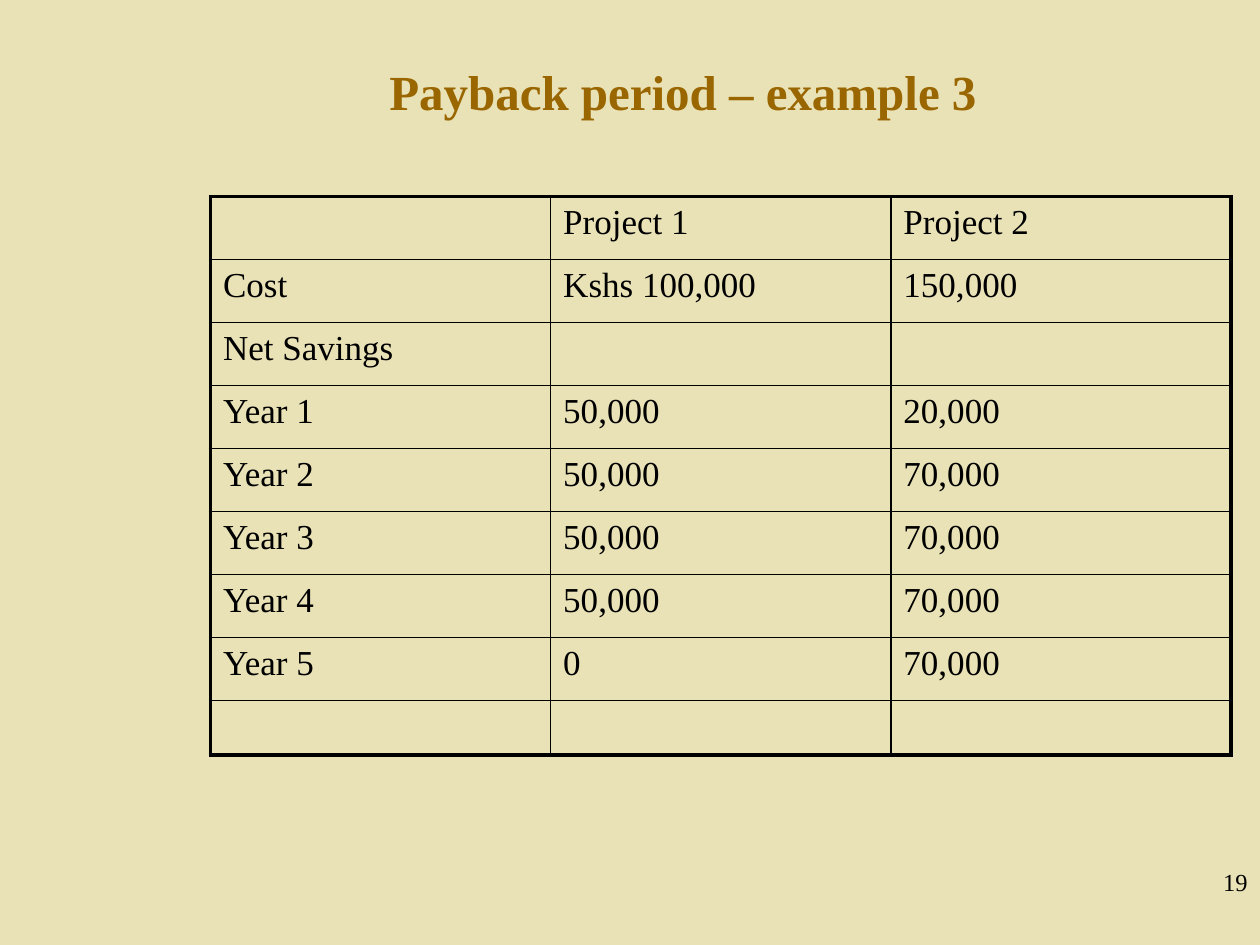
"""Build the payback period example slide."""
import lxml.etree
import pptx
import pptx.dml.color
import pptx.enum.text
import pptx.oxml.ns
import pptx.util

TITLE = "Payback period – example 3"
PAGE_NUMBER = "19"
ROWS = [
    ("", "Project 1", "Project 2"),
    ("Cost", "Kshs 100,000", "150,000"),
    ("Net Savings", "", ""),
    ("Year 1", "50,000", "20,000"),
    ("Year 2", "50,000", "70,000"),
    ("Year 3", "50,000", "70,000"),
    ("Year 4", "50,000", "70,000"),
    ("Year 5", "0", "70,000"),
    ("", "", ""),
]
FONT = "Times New Roman"
BACKGROUND, ACCENT, BLACK = "E9E2B6", "996600", "000000"
COLUMN_WIDTH, ROW_HEIGHT, LAST_ROW_HEIGHT = 2.7, 0.5, 0.43
OUTER_LINE, INNER_LINE = 2.25, 1
ALIGN = pptx.enum.text.PP_ALIGN
ANCHOR = pptx.enum.text.MSO_ANCHOR


def color(value):
    return pptx.dml.color.RGBColor.from_string(value)


def style_text(paragraph, size, text_color=BLACK, bold=False, align=ALIGN.LEFT):
    paragraph.alignment = align
    font = paragraph.font
    font.name, font.size, font.bold = FONT, pptx.util.Pt(size), bold
    font.color.rgb = color(text_color)


def add_text(slide, text, box, anchor, **style):
    shape = slide.shapes.add_textbox(*map(pptx.util.Inches, box))
    frame = shape.text_frame
    frame.word_wrap, frame.vertical_anchor = True, anchor
    frame.text = text
    style_text(frame.paragraphs[0], **style)


def add_border(cell, side, width):
    qn = pptx.oxml.ns.qn
    properties = cell._tc.get_or_add_tcPr()
    line = lxml.etree.SubElement(properties, qn(f"a:ln{side}"), w=str(pptx.util.Pt(width)))
    fill = lxml.etree.SubElement(line, qn("a:solidFill"))
    lxml.etree.SubElement(fill, qn("a:srgbClr"), val=BLACK)


def add_savings_table(slide, left, top):
    row_count, column_count = len(ROWS), len(ROWS[0])
    heights = [ROW_HEIGHT] * (row_count - 1) + [LAST_ROW_HEIGHT]
    box = (left, top, COLUMN_WIDTH * column_count, sum(heights))
    table = slide.shapes.add_table(row_count, column_count, *map(pptx.util.Inches, box)).table
    table.first_row = table.horz_banding = False
    for row, height in zip(table.rows, heights):
        row.height = pptx.util.Inches(height)
    for row_index, values in enumerate(ROWS):
        for column_index, value in enumerate(values):
            cell = table.cell(row_index, column_index)
            cell.text = value
            style_text(cell.text_frame.paragraphs[0], 20)
            outer_sides = {
                "L": column_index == 0,
                "R": column_index == column_count - 1,
                "T": row_index == 0,
                "B": row_index == row_count - 1,
            }
            for side, is_outer in outer_sides.items():
                add_border(cell, side, OUTER_LINE if is_outer else INNER_LINE)
            cell.fill.background()


def main():
    presentation = pptx.Presentation()
    presentation.slide_width = pptx.util.Inches(10)
    presentation.slide_height = pptx.util.Inches(7.5)
    slide = presentation.slides.add_slide(presentation.slide_layouts[6])
    slide.background.fill.solid()
    slide.background.fill.fore_color.rgb = color(BACKGROUND)
    add_text(slide, TITLE, (1.48, 0.23, 7.88, 0.98), ANCHOR.MIDDLE,
             size=28, text_color=ACCENT, bold=True, align=ALIGN.CENTER)
    add_savings_table(slide, 1.67, 1.56)
    add_text(slide, PAGE_NUMBER, (7.92, 6.83, 2.08, 0.5), ANCHOR.TOP,
             size=14, align=ALIGN.RIGHT)
    presentation.save("out.pptx")


if __name__ == "__main__":
    main()
